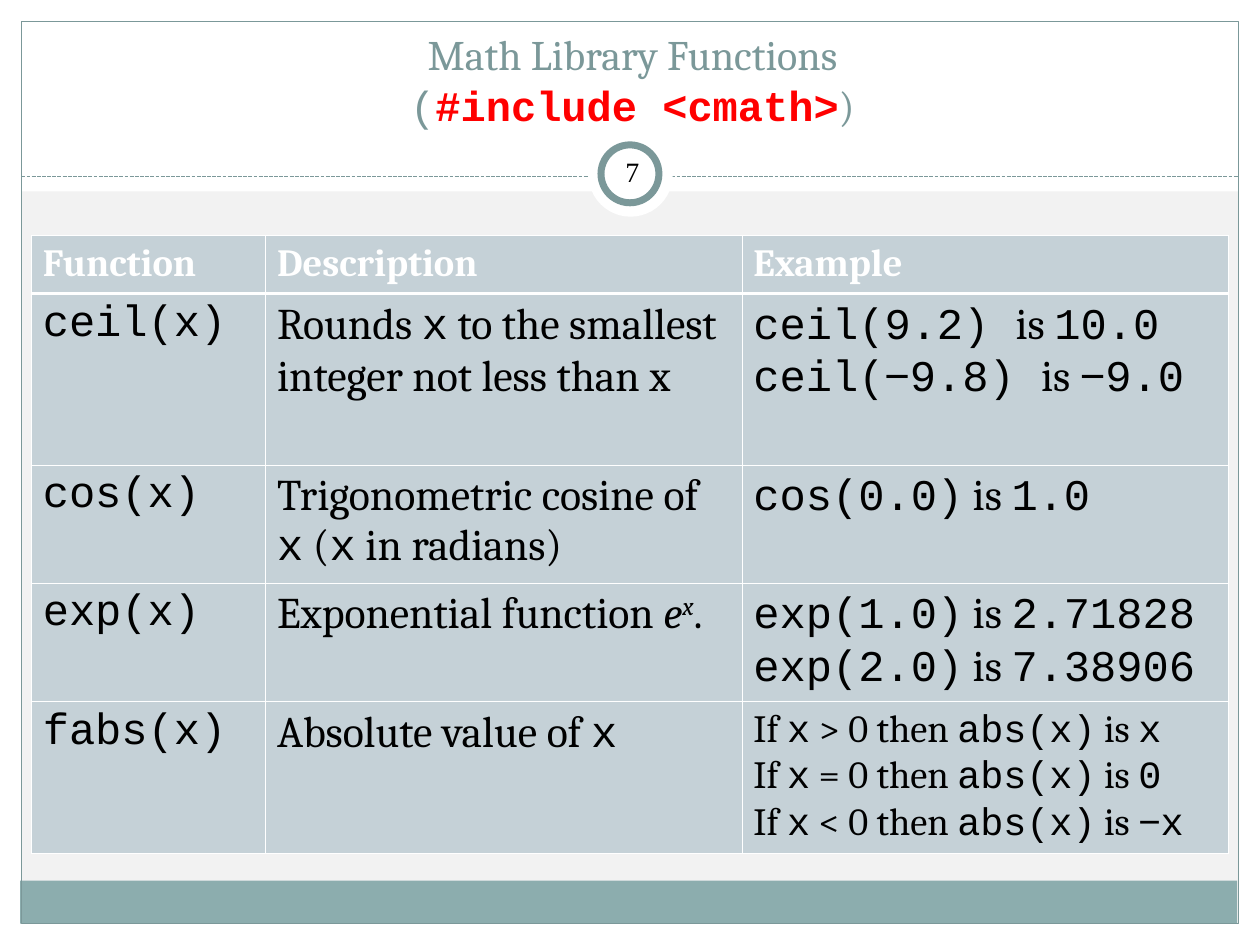
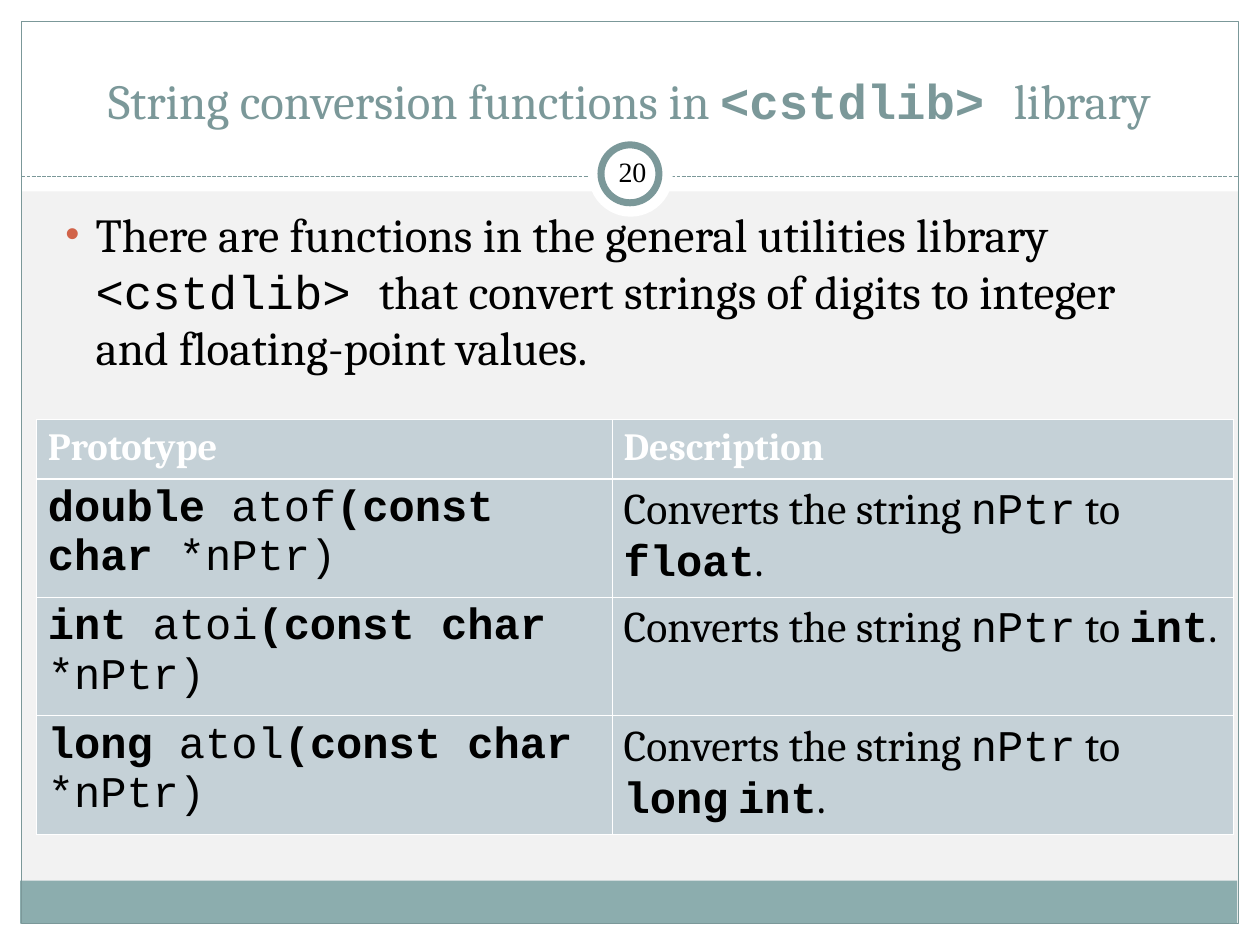
"""Build two slides on the math and string conversion functions of C++."""
import lxml.etree
import pptx
import pptx.dml.color
import pptx.enum.dml
import pptx.enum.shapes
import pptx.enum.text
import pptx.oxml.ns
import pptx.util

Inches = pptx.util.Inches
Pt = pptx.util.Pt
SHAPE = pptx.enum.shapes.MSO_SHAPE
ANCHOR = pptx.enum.text.MSO_ANCHOR
CENTER = pptx.enum.text.PP_ALIGN.CENTER

COLORS = {
    "white": "FFFFFF",
    "black": "000000",
    "page": "F2F2F2",
    "band": "8CADAE",
    "teal": "7B9899",
    "cell": "C5D1D7",
    "red": "FF0000",
    "bullet": "D16349",
}
SERIF, MONO = "Cambria", "Courier New"
STYLES = {
    "serif": (SERIF, False, False),
    "head": (SERIF, True, False),
    "slant": (SERIF, False, True),
    "power": (SERIF, False, True),
    "mono": (MONO, False, False),
    "bold": (MONO, True, False),
    "alert": (MONO, True, False),
    "sign": ("Arial", False, False),
    "count": ("Times New Roman", False, False),
}
MINUS = ("−", "sign")
IS = (" is ", "serif")


def color(name):
    return pptx.dml.color.RGBColor.from_string(COLORS[name])


def box(*sides):
    return [Inches(side) for side in sides]


def sub(parent, tag, **attrs):
    return lxml.etree.SubElement(parent, pptx.oxml.ns.qn(tag), attrs)


def write(para, runs, size, ink):
    for text, style in runs:
        if text == "\n":
            para.add_line_break()
            continue
        run = para.add_run()
        run.text = text
        font = run.font
        font.name, font.bold, font.italic = STYLES[style]
        font.size = Pt(size)
        font.color.rgb = color("red" if style == "alert" else ink)
        if style == "power":
            run._r.get_or_add_rPr().set("baseline", "30000")


def shape(slide, kind, place, fill=None, line=None, width=0.75):
    item = slide.shapes.add_shape(kind, *box(*place))
    item.shadow.inherit = False
    if fill:
        item.fill.solid()
        item.fill.fore_color.rgb = color(fill)
    else:
        item.fill.background()
    if line:
        item.line.color.rgb = color(line)
        item.line.width = Pt(width)
    else:
        item.line.fill.background()


def frame(slide):
    slide.background.fill.solid()
    slide.background.fill.fore_color.rgb = color("page")
    for edge in ((0, 7.33, 10, 0.17), (0, 0, 10, 1.52),
                 (0, 0, 0.17, 7.5), (9.83, 0, 0.17, 7.5)):
        shape(slide, SHAPE.RECTANGLE, edge, "white")
    shape(slide, SHAPE.RECTANGLE, (0.16, 6.99, 9.66, 0.34), "band")
    shape(slide, SHAPE.RECTANGLE, (0.17, 0.17, 9.66, 7.16), line="teal")
    rule = slide.shapes.add_connector(
        pptx.enum.shapes.MSO_CONNECTOR.STRAIGHT, *box(0.17, 1.4, 9.83, 1.4))
    rule.line.color.rgb = color("teal")
    rule.line.width = Pt(0.75)
    rule.line.dash_style = pptx.enum.dml.MSO_LINE.SQUARE_DOT
    sub(rule._element.spPr, "a:effectLst")
    shape(slide, SHAPE.OVAL, (4.67, 1.05, 0.67, 0.67), "white")
    shape(slide, SHAPE.OVAL, (4.77, 1.15, 0.46, 0.46), "white", "teal", 4)


def title(slide, place, runs, size):
    head = slide.shapes.title
    head.element.getparent().append(head.element)
    head.left, head.top, head.width, head.height = box(*place)
    text = head.text_frame
    text.auto_size = pptx.enum.text.MSO_AUTO_SIZE.NONE
    text.vertical_anchor = ANCHOR.BOTTOM
    text.paragraphs[0].alignment = CENTER
    write(text.paragraphs[0], runs, size, "teal")


def number(slide, value):
    text = slide.shapes.add_textbox(*box(4.77, 1.12, 0.5, 0.48)).text_frame
    text.word_wrap = True
    text.vertical_anchor = ANCHOR.MIDDLE
    text.margin_left = text.margin_right = Inches(0.05)
    text.paragraphs[0].alignment = CENTER
    write(text.paragraphs[0], [(str(value), "count")], 16, "black")


def bullet(slide, place, runs):
    text = slide.shapes.add_textbox(*box(*place)).text_frame
    text.word_wrap = True
    para = text.paragraphs[0]
    props = para._p.get_or_add_pPr()
    props.set("marL", str(Inches(0.24)))
    props.set("indent", str(-Inches(0.24)))
    sub(sub(props, "a:buClr"), "a:srgbClr", val=COLORS["bullet"])
    sub(props, "a:buSzPct", val="85000")
    sub(props, "a:buFont", typeface="Arial")
    sub(props, "a:buChar", char="•")
    write(para, runs, 27, "black")


def border(cell, row):
    props = cell._tc.get_or_add_tcPr()
    thick = {(0, "B"), (1, "T")}
    for side in "LRTB":
        width = 1.47 if (row, side) in thick else 0.45
        line = sub(props, "a:ln" + side, w=str(Pt(width)))
        sub(sub(line, "a:solidFill"), "a:srgbClr", val=COLORS["white"])


def fill(cell, row, lines, size, ink):
    border(cell, row)
    cell.fill.solid()
    cell.fill.fore_color.rgb = color("cell")
    cell.margin_left = cell.margin_right = Inches(0.09)
    cell.margin_top = cell.margin_bottom = Inches(0.05)
    text = cell.text_frame
    for index, runs in enumerate(lines):
        para = text.add_paragraph() if index else text.paragraphs[0]
        write(para, runs, size, ink)


def table(slide, spot, cols, rows, heads, body):
    grid = slide.shapes.add_table(
        len(rows), len(cols), *box(*spot, sum(cols), sum(rows))).table
    for col, width in zip(grid.columns, cols):
        col.width = Inches(width)
    for row, height in zip(grid.rows, rows):
        row.height = Inches(height)
    for col, name in enumerate(heads):
        fill(grid.cell(0, col), 0, [[(name, "head")]], 22, "white")
    for row, cells in enumerate(body, 1):
        for col, lines in enumerate(cells):
            size = 22 if len(lines) > 2 else 25
            fill(grid.cell(row, col), row, lines, size, "black")


def result(call, value):
    return [(call, "mono"), IS, (value, "mono")]


def case(sign, *value):
    return [("If ", "serif"), ("x", "mono"), (f" {sign} 0 then ", "serif"),
            ("abs(x)", "mono"), IS, *value]


def proto(kind, name, *target):
    call = [(kind, "bold"), (" " + name, "mono"),
            ("(const char", "bold"), (" *nPtr)", "mono")]
    note = [("Converts the string ", "serif"), ("nPtr", "mono"),
            (" to ", "serif"), *target, (".", "serif")]
    return [call], [note]


def math(slide):
    frame(slide)
    title(slide, (0.21, 0.25, 9.62, 0.83),
          [("Math Library Functions", "serif"), ("\n", "serif"), ("(", "mono"),
           ("#include <cmath>", "alert"), (")", "serif")], 24)
    x = ("x", "mono")
    body = [
        ([[("ceil(x)", "mono")]],
         [[("Rounds ", "serif"), x,
           (" to the smallest integer not less than x", "serif")]],
         [[("ceil(9.2) ", "mono"), ("is ", "serif"), ("10.0", "mono")],
          [("ceil(", "mono"), MINUS, ("9.8) ", "mono"), ("is ", "serif"),
           MINUS, ("9.0", "mono")]]),
        ([[("cos(x)", "mono")]],
         [[("Trigonometric cosine of ", "serif"), x, (" (", "serif"), x,
           (" in radians)", "serif")]],
         [result("cos(0.0)", "1.0")]),
        ([[("exp(x)", "mono")]],
         [[("Exponential function ", "serif"), ("e", "slant"),
           ("x", "power"), (".", "serif")]],
         [result("exp(1.0)", "2.71828"), result("exp(2.0)", "7.38906")]),
        ([[("fabs(x)", "mono")]],
         [[("Absolute value of ", "serif"), x]],
         [case(">", x), case("=", ("0", "mono")), case("<", MINUS, x)]),
    ]
    table(slide, (0.25, 1.87), (1.86, 3.78, 3.86),
          (0.46, 1.36, 0.94, 0.94, 1.2),
          ("Function", "Description", "Example"), body)
    number(slide, 7)


def string(slide):
    frame(slide)
    bullet(slide, (0.42, 1.58, 8.99, 1.5),
           [("There are functions in the general utilities library ", "serif"),
            ("<cstdlib> ", "mono"),
            ("that convert strings of digits to integer and "
             "floating-point values.", "serif")])
    title(slide, (0.33, 0.25, 9.33, 0.83),
          [("String conversion functions in ", "serif"),
           ("<cstdlib> ", "bold"), ("library", "serif")], 28)
    body = [
        proto("double", "atof", ("float", "bold")),
        proto("int", "atoi", ("int", "bold")),
        proto("long", "atol", ("long", "bold"), (" ", "serif"),
              ("int", "bold")),
    ]
    table(slide, (0.29, 3.33), (4.57, 4.93), (0.47, 0.94, 0.94, 0.94),
          ("Prototype", "Description"), body)
    number(slide, 20)


def main():
    deck = pptx.Presentation()
    deck.slide_width, deck.slide_height = box(10, 7.5)
    for build in (math, string):
        build(deck.slides.add_slide(deck.slide_layouts[5]))
    deck.save("out.pptx")


if __name__ == "__main__":
    main()
